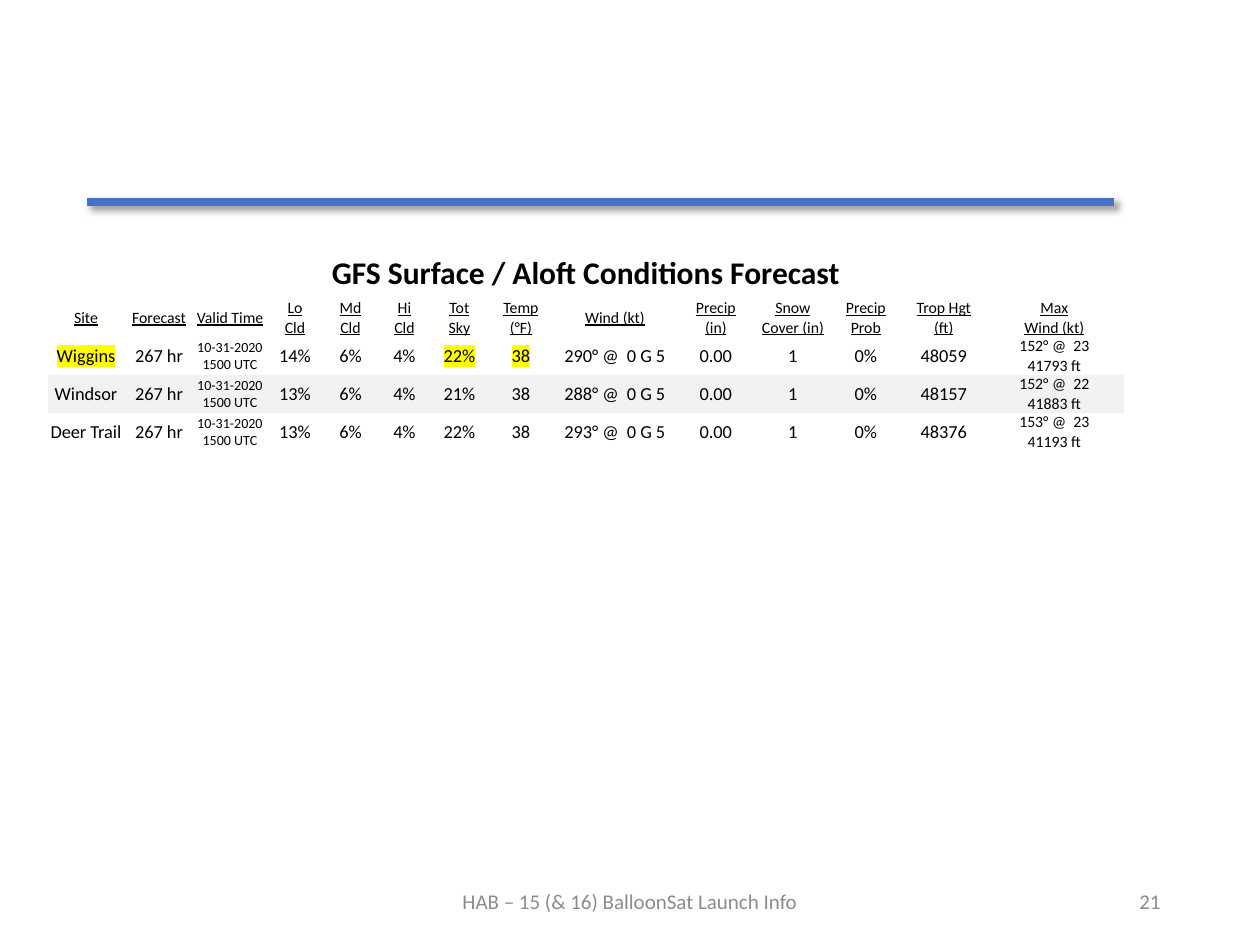
"""Builds the balloon launch slide with the surface and aloft forecast table."""
from lxml.etree import SubElement
from pptx import Presentation
from pptx.dml.color import RGBColor
from pptx.enum.shapes import MSO_CONNECTOR
from pptx.enum.text import MSO_ANCHOR, PP_ALIGN
from pptx.oxml.ns import qn
from pptx.util import Emu, Pt

COLORS = {"rule": "4472C4", "text": "000000", "footer": "8C8C8C", "plain": "FFFFFF",
          "band": "F2F2F2", "mark": "FFFF00"}
FONT = "Calibri"
PLAIN_STYLE = "{2D5ABB26-0587-4C30-8999-92F81FD0307C}"
TITLE = "GFS Surface / Aloft Conditions Forecast"
FOOTERS = [
    ("HAB – 15 (& 16) BalloonSat Launch Info", (417, 876, 426, 50), PP_ALIGN.CENTER),
    ("21", (890, 876, 283, 50), PP_ALIGN.RIGHT),
]
COLUMNS = [
    ("Site", 76, 10.5), ("Forecast", 70, 10.5), ("Valid Time", 72, 8),
    ("Lo\nCld", 58, 10.5), ("Md\nCld", 53, 10.5), ("Hi\nCld", 55, 10.5),
    ("Tot\nSky", 55, 10.5), ("Temp\n(°F)", 68, 10.5), ("Wind (kt)", 120, 10.5),
    ("Precip\n(in)", 82, 10.5), ("Snow\nCover (in)", 72, 10.5),
    ("Precip\nProb", 74, 10.5), ("Trop Hgt\n(ft)", 82, 10.5), ("Max\nWind (kt)", 139, 9),
]
VALID_TIME = "10-31-2020 1500 UTC"
FORECASTS = [
    ("Wiggins", "267 hr", VALID_TIME, "14%", "6%", "4%", "22%", "38", "290° @  0 G 5",
     "0.00", "1", "0%", "48059", "152° @  23\n41793 ft"),
    ("Windsor", "267 hr", VALID_TIME, "13%", "6%", "4%", "21%", "38", "288° @  0 G 5",
     "0.00", "1", "0%", "48157", "152° @  22\n41883 ft"),
    ("Deer Trail", "267 hr", VALID_TIME, "13%", "6%", "4%", "22%", "38", "293° @  0 G 5",
     "0.00", "1", "0%", "48376", "153° @  23\n41193 ft"),
]
MARKED_SITE = "Wiggins"
MARKED_COLUMNS = {"Site", "Tot\nSky", "Temp\n(°F)"}
ROW_HEIGHT = 38


def px(value):
    return Emu(round(value * 914400 / 126))


def rgb(name):
    return RGBColor.from_string(COLORS[name])


def write(frame, text, size, color="text", align=PP_ALIGN.CENTER,
          bold=False, underline=False, marked=False):
    para = frame.paragraphs[0]
    para.alignment = align
    for index, line in enumerate(text.split("\n")):
        if index:
            para.add_line_break()
        span = para.add_run()
        span.text = line
        font = span.font
        font.size, font.bold, font.underline = Pt(size), bold, underline
        font.color.rgb = rgb(color)
        if marked:
            highlight = SubElement(span._r.get_or_add_rPr(), qn("a:highlight"))
            SubElement(highlight, qn("a:srgbClr"), val=COLORS["mark"])
        font.name = FONT


def add_rule(page):
    rule = page.shapes.add_connector(MSO_CONNECTOR.STRAIGHT, px(87), px(202), px(1114), px(202))
    rule.line.color.rgb = rgb("rule")
    rule.line.width = Pt(4.5)
    effects = SubElement(rule.element.spPr, qn("a:effectLst"))
    shadow = SubElement(effects, qn("a:outerShdw"), blurRad=str(Pt(4)), dist=str(Pt(3)),
                        dir="2700000", algn="tl", rotWithShape="0")
    tint = SubElement(shadow, qn("a:srgbClr"), val=COLORS["text"])
    SubElement(tint, qn("a:alpha"), val="40000")


def add_plain_table(page, rows, left, top, widths, height):
    graphic = page.shapes.add_table(rows, len(widths), px(left), px(top),
                                    px(sum(widths)), px(rows * height))
    for style in graphic.element.iter(qn("a:tableStyleId")):
        style.text = PLAIN_STYLE
    table = graphic.table
    table.first_row = table.horz_banding = False
    for column, width in zip(table.columns, widths):
        column.width = px(width)
    return table


def add_forecast(page):
    table = add_plain_table(page, len(FORECASTS) + 1, 48, 299,
                            [width for _, width, _ in COLUMNS], ROW_HEIGHT)
    headings = [heading for heading, _, _ in COLUMNS]
    for row, texts in enumerate([headings, *FORECASTS]):
        for column, (heading, _, size) in enumerate(COLUMNS):
            cell = table.cell(row, column)
            cell.margin_left = cell.margin_right = cell.margin_top = cell.margin_bottom = 0
            cell.vertical_anchor = MSO_ANCHOR.MIDDLE
            if row == 0:
                cell.fill.background()
                write(cell.text_frame, heading, 9, underline=True)
                continue
            cell.fill.solid()
            cell.fill.fore_color.rgb = rgb("plain" if row % 2 else "band")
            marked = texts[0] == MARKED_SITE and heading in MARKED_COLUMNS
            write(cell.text_frame, texts[column], size, marked=marked)


def add_title(page):
    cell = add_plain_table(page, 1, 43, 248, [1086], 50).cell(0, 0)
    cell.fill.background()
    write(cell.text_frame, TITLE, 18, bold=True)


def add_footer(page, text, place, align):
    box = page.shapes.add_textbox(*map(px, place))
    box.text_frame.word_wrap = True
    box.text_frame.vertical_anchor = MSO_ANCHOR.MIDDLE
    write(box.text_frame, text, 12, "footer", align)


def main():
    deck = Presentation()
    deck.slide_width, deck.slide_height = px(1260), px(945)
    page = deck.slides.add_slide(deck.slide_layouts[6])
    add_rule(page)
    for footer in FOOTERS:
        add_footer(page, *footer)
    add_forecast(page)
    add_title(page)
    deck.save("out.pptx")


if __name__ == "__main__":
    main()
